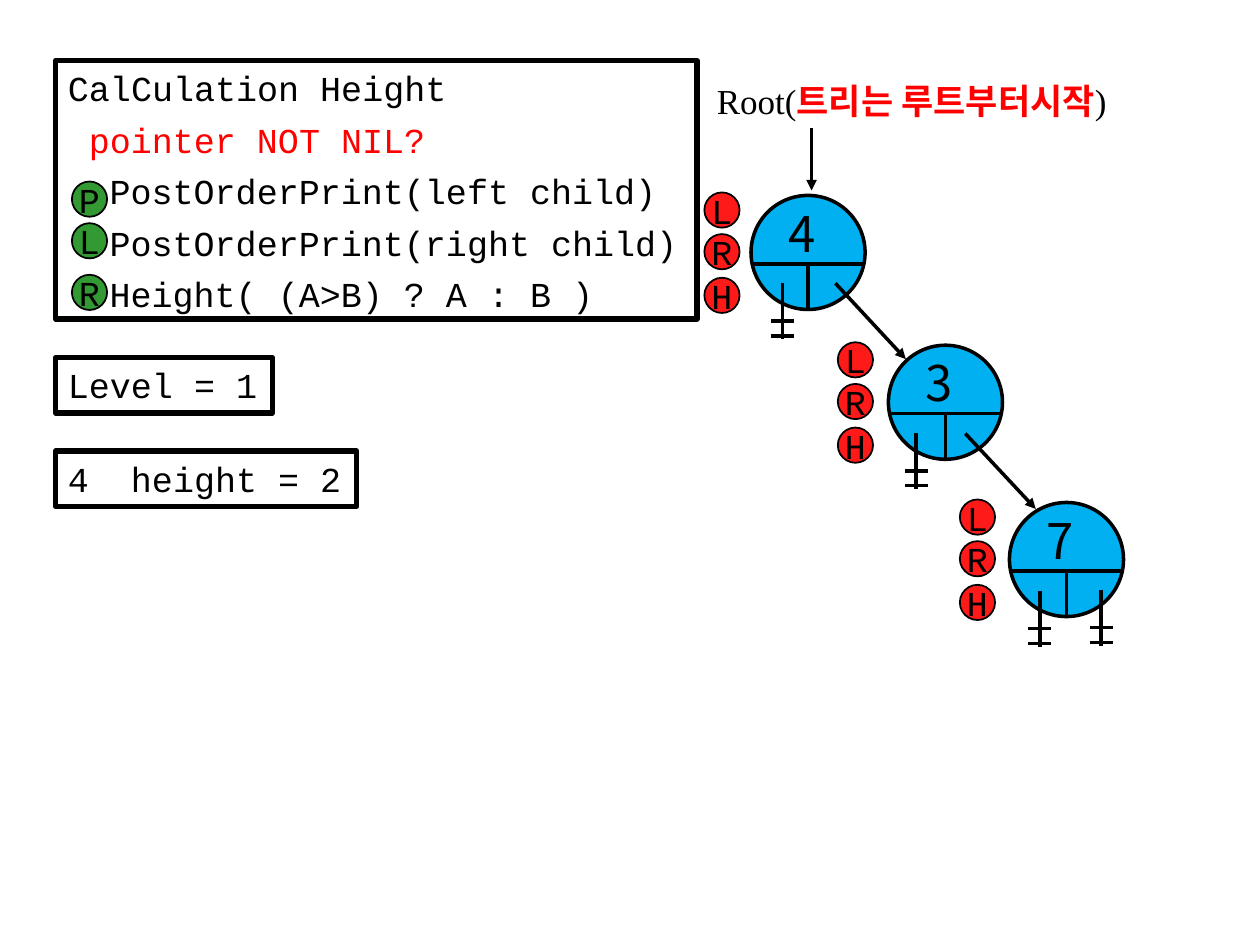
import pptx
import pptx.dml.color
import pptx.enum.shapes
import pptx.enum.text
import pptx.oxml.ns
import pptx.util
from lxml import etree

Cm, Pt = pptx.util.Cm, pptx.util.Pt
MSO_SHAPE = pptx.enum.shapes.MSO_SHAPE
ANCHOR = pptx.enum.text.MSO_ANCHOR
ALIGN = pptx.enum.text.PP_ALIGN
NO_FIT = pptx.enum.text.MSO_AUTO_SIZE.NONE

# Content; all lengths in cm
MONO, HANGUL, SERIF = "Courier New", "Noto Sans CJK KR", "Times New Roman"
BLACK, RED = "000000", "FF0000"
BADGE_GREEN, BADGE_RED, NODE_BLUE = "339933", "FF1A1A", "00B0F0"

CODE_BOX = (1.12, 1.22, 12.93, 5.21)
CODE_LINES = [  # text, indent in characters, colour
    ("CalCulation Height", 0, BLACK),
    ("pointer NOT NIL?", 1, RED),
    ("PostOrderPrint(left child)", 2, BLACK),
    ("PostOrderPrint(right child)", 2, BLACK),
    ("Height( (A>B) ? A : B )", 2, BLACK),
]
RESULTS = [
    ("Level = 1", (1.12, 7.21, 4.37, 1.12)),
    ("4  height = 2", (1.12, 9.09, 6.07, 1.12)),
]
CODE_BADGES = [("P", 1.45, 3.66), ("L", 1.45, 4.5), ("R", 1.45, 5.54)]

ROOT_BOX = (14.2, 1.47, 8.97, 1.12)
ROOT_LABEL = [("Root(", BLACK, False), ("트리는 루트부터시작", RED, True), (")", BLACK, False)]
NODES = [  # key, left, top, left of its badges
    ("4", 15.14, 3.94, 14.2),
    ("3", 17.91, 6.96, 16.89),
    ("7", 20.35, 10.13, 19.35),
]
STEPS = [("L", -0.06), ("R", 0.78), ("H", 1.66)]  # offset from the node top
ARROWS = [
    (16.36, 2.59, 16.36, 3.84),
    (16.84, 5.71, 18.26, 7.24),
    (19.46, 8.74, 20.88, 10.26),
]
NIL_MARKS = [(15.77, 5.71), (18.47, 8.73), (20.96, 11.91), (22.2, 11.89)]

NODE_SIZE, NODE_SPLIT, BADGE_SIZE = 2.3, 1.38, 0.71
NIL_LENGTH, NIL_BARS, NIL_HALF = 1.13, (0.76, 1.06), 0.23
CHAR_WIDTH = 0.42

# Formats
FRAME_FORMAT = {"word_wrap": False, "auto_size": NO_FIT, "vertical_anchor": ANCHOR.TOP}
CODE_FORMAT = {**FRAME_FORMAT, "word_wrap": True,
               "margin_left": Cm(0.25), "margin_right": Cm(0.25),
               "margin_top": Cm(0.13), "margin_bottom": Cm(0.13)}
BADGE_FORMAT = {**FRAME_FORMAT, "vertical_anchor": ANCHOR.MIDDLE}
KEY_FORMAT = {**FRAME_FORMAT, "word_wrap": True,
              "margin_left": Cm(0.48), "margin_right": 0}


def rgb(color):
    return pptx.dml.color.RGBColor.from_string(color)


def apply(target, values):
    for name, value in values.items():
        setattr(target, name, value)


def lengths(*values):
    return [Cm(value) for value in values]


def paint(shape, width, fill=None):
    if fill:
        shape.fill.solid()
        shape.fill.fore_color.rgb = rgb(fill)
    else:
        shape.fill.background()
    shape.line.color.rgb = rgb(BLACK)
    shape.line.width = Pt(width)


def write(paragraph, text, face=MONO, size=20, color=BLACK, bold=False):
    run = paragraph.add_run()
    run.text = text
    apply(run.font, {"name": face, "size": Pt(size), "bold": bold})
    run.font.color.rgb = rgb(color)
    east_asian = etree.SubElement(run.font._element, pptx.oxml.ns.qn("a:ea"))
    east_asian.set("typeface", HANGUL)


def add_outlined(shapes, preset, box, width, fill=None):
    shape = shapes.add_shape(preset, *lengths(*box))
    shape.shadow.inherit = False
    paint(shape, width, fill)
    return shape


def add_line(shapes, x1, y1, x2, y2, arrow=False):
    line = shapes.add_connector(pptx.enum.shapes.MSO_CONNECTOR.STRAIGHT, *lengths(x1, y1, x2, y2))
    line.line.color.rgb = rgb(BLACK)
    line.line.width = Pt(2)
    if arrow:
        head = etree.SubElement(line.line._get_or_add_ln(), pptx.oxml.ns.qn("a:tailEnd"))
        head.set("type", "triangle")
    etree.SubElement(line._element.spPr, pptx.oxml.ns.qn("a:effectLst"))


def add_badge(shapes, letter, left, top):
    badge = add_outlined(shapes, MSO_SHAPE.OVAL, (left, top, BADGE_SIZE, BADGE_SIZE),
                         1, BADGE_RED if shapes is not code_shapes else BADGE_GREEN)
    apply(badge.text_frame, BADGE_FORMAT)
    paragraph = badge.text_frame.paragraphs[0]
    paragraph.alignment = ALIGN.CENTER
    write(paragraph, letter)


def add_node(shapes, key, left, top):
    middle, split = left + NODE_SIZE / 2, top + NODE_SPLIT
    add_outlined(shapes, MSO_SHAPE.OVAL, (left, top, NODE_SIZE, NODE_SIZE), 2, NODE_BLUE)
    add_line(shapes, left, split, left + NODE_SIZE, split)
    add_line(shapes, middle, top + NODE_SIZE, middle, split)
    label = shapes.add_textbox(*lengths(left + 0.27, top + 0.03, 1.42, 1.45))
    apply(label.text_frame, KEY_FORMAT)
    write(label.text_frame.paragraphs[0], key, HANGUL, 28)


def add_nil(shapes, x, top):
    add_line(shapes, x, top, x, top + NIL_LENGTH)
    for drop in NIL_BARS:
        add_line(shapes, x - NIL_HALF, top + drop, x + NIL_HALF, top + drop)


deck = pptx.Presentation()
apply(deck, {"slide_width": Cm(25.4), "slide_height": Cm(19.05)})
slide = deck.slides.add_slide(deck.slide_layouts[1])
title = slide.shapes.title._element
title.getparent().remove(title)

# Pseudocode in the body placeholder
code = slide.placeholders[1]
apply(code, dict(zip(("left", "top", "width", "height"), lengths(*CODE_BOX))))
paint(code, 3)
apply(code.text_frame, CODE_FORMAT)
for index, (text, indent, color) in enumerate(CODE_LINES):
    paragraph = code.text_frame.paragraphs[0] if index == 0 else code.text_frame.add_paragraph()
    apply(paragraph, {"space_before": Pt(5.4), "alignment": ALIGN.LEFT})
    properties = paragraph._p.get_or_add_pPr()
    properties.set("marL", str(Cm(indent * CHAR_WIDTH)))
    properties.set("indent", "0")
    etree.SubElement(properties, pptx.oxml.ns.qn("a:buNone"))
    write(paragraph, text, color=color)

# Results below the pseudocode
for text, box in RESULTS:
    result = add_outlined(slide.shapes, MSO_SHAPE.RECTANGLE, box, 3)
    apply(result.text_frame, FRAME_FORMAT)
    result.text_frame.paragraphs[0].alignment = ALIGN.LEFT
    write(result.text_frame.paragraphs[0], text)

# Call markers beside the pseudocode
code_shapes = slide.shapes.add_group_shape().shapes
for badge in CODE_BADGES:
    add_badge(code_shapes, *badge)

# Root label
root = slide.shapes.add_textbox(*lengths(*ROOT_BOX))
apply(root.text_frame, {**FRAME_FORMAT, "word_wrap": True})
for text, color, bold in ROOT_LABEL:
    write(root.text_frame.paragraphs[0], text, SERIF, color=color, bold=bold)

# Tree nodes with their step badges
for key, left, top, badge_left in NODES:
    add_node(slide.shapes.add_group_shape().shapes, key, left, top)
    for letter, drop in STEPS:
        add_badge(slide.shapes, letter, badge_left, top + drop)

# Links and empty children
for arrow in ARROWS:
    add_line(slide.shapes, *arrow, arrow=True)
for nil in NIL_MARKS:
    add_nil(slide.shapes.add_group_shape().shapes, *nil)

deck.save("out.pptx")
